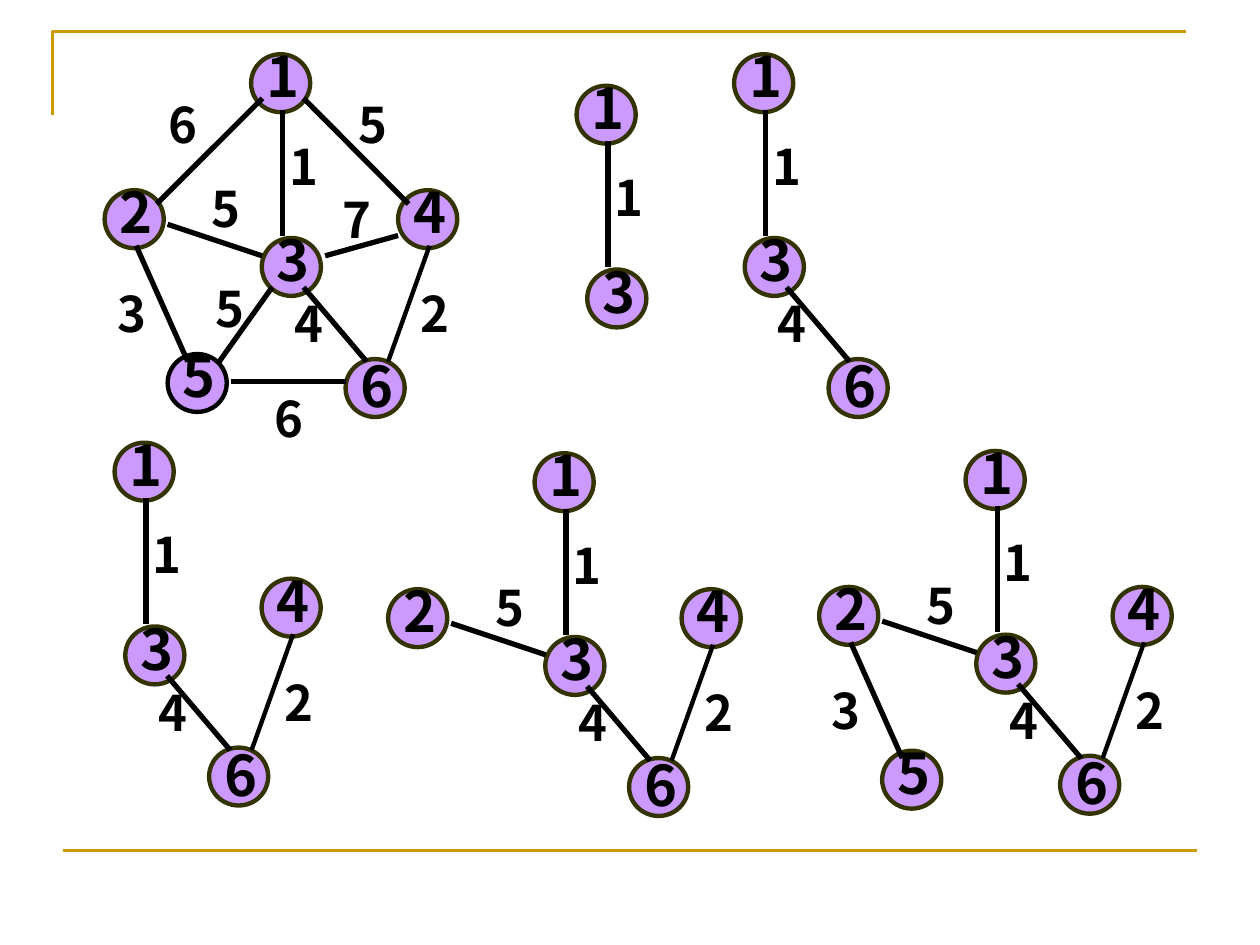
"""Steps of growing a minimum spanning tree on a weighted graph."""
import pptx
import pptx.util
import pptx.dml.color
import pptx.enum.shapes
import pptx.enum.text
from lxml import etree

Pt = pptx.util.Pt
RGBColor = pptx.dml.color.RGBColor
PP_ALIGN = pptx.enum.text.PP_ALIGN

GOLD = RGBColor(0xCC, 0x99, 0x00)
LILAC = RGBColor(0xCC, 0x99, 0xFF)
OLIVE = RGBColor(0x33, 0x33, 0x00)
BLACK = RGBColor(0, 0, 0)
FONT = "Noto Sans CJK SC"

NODES = {
    1: (143.5, 31),
    2: (59.8, 108.7),
    3: (149.6, 136),
    4: (227.5, 108.7),
    5: (95.8, 202.3),
    6: (197.5, 205.2),
}
NODE_W, NODE_H = 33.8, 33.1

# (node, node): (weight, line start, line end, label corner, label width, align, line width)
EDGES = {
    (1, 2): ("6", (150, 56.2), (89.5, 116.6), (89.5, 50.4), 36, PP_ALIGN.LEFT, 3),
    (1, 4): ("5", (173.5, 56.2), (233.5, 116.6), (197.5, 50.4), 54, PP_ALIGN.LEFT, 3),
    (1, 3): ("1", (161.5, 62.6), (161.5, 134.6), (155.5, 74.2), 36, PP_ALIGN.CENTER, 3),
    (2, 3): ("5", (95.8, 128.2), (149.8, 146.2), (113.8, 98.6), 30, PP_ALIGN.LEFT, 3),
    (3, 4): ("7", (185.8, 146.2), (227.5, 134.6), (185.8, 104.4), 36, PP_ALIGN.CENTER, 3),
    (2, 5): ("3", (77.8, 140.4), (107.3, 206.6), (59.8, 158.4), 54, PP_ALIGN.LEFT, 3),
    (3, 5): ("5", (155.5, 164.2), (125.3, 206.6), (115.9, 155.5), 36, PP_ALIGN.LEFT, 3),
    (3, 6): ("4", (173.5, 164.2), (209.5, 206.6), (161.3, 164.2), 36, PP_ALIGN.LEFT, 3),
    (4, 6): ("2", (245.5, 140.4), (221.8, 206.6), (233.3, 158.4), 36, PP_ALIGN.LEFT, 2.5),
    (5, 6): ("6", (131.8, 218.2), (197.5, 218.2), (149.8, 218.2), 36, PP_ALIGN.LEFT, 3),
}

GRAPHS = [
    ((0, 0), list(EDGES)),
    ((186, 18), [(1, 3)]),
    ((276, 0), [(1, 3), (3, 6)]),
    ((-78, 222), [(1, 3), (3, 6), (4, 6)]),
    ((162, 228), [(1, 3), (3, 6), (4, 6), (2, 3)]),
    ((408.3, 226.7), [(1, 3), (3, 6), (4, 6), (2, 3), (2, 5)]),
]


def add_line(s, start, end, color, width):
    ends = [Pt(v) for v in (*start, *end)]
    line = s.shapes.add_connector(pptx.enum.shapes.MSO_CONNECTOR.STRAIGHT, *ends)
    line.line.color.rgb = color
    line.line.width = Pt(width)
    sp_pr = line._element.spPr
    etree.SubElement(sp_pr, pptx.oxml.ns.qn("a:effectLst"))


def add_text(s, text, x, y, w, h, size, align):
    tf = s.shapes.add_textbox(Pt(x), Pt(y), Pt(w), Pt(h)).text_frame
    tf.word_wrap = True
    tf.vertical_anchor = pptx.enum.text.MSO_ANCHOR.MIDDLE
    p = tf.paragraphs[0]
    p.alignment = align
    r = p.add_run()
    r.text = text
    r.font.name = FONT
    r.font.size = Pt(size)
    r.font.bold = True
    r.font.color.rgb = BLACK


def add_node(s, number, dx, dy, outline):
    x, y = NODES[number]
    x, y = x + dx, y + dy
    sp = s.shapes.add_shape(
        pptx.enum.shapes.MSO_SHAPE.OVAL, Pt(x), Pt(y), Pt(NODE_W), Pt(NODE_H))
    sp.shadow.inherit = False
    sp.fill.solid()
    sp.fill.fore_color.rgb = LILAC
    sp.line.color.rgb = outline
    sp.line.width = Pt(2.5)
    rise = 7.8 if number == 6 else 10.6
    add_text(s, str(number), x + 1.6, y - rise, 24.5, 45.4, 32, PP_ALIGN.CENTER)


def add_graph(s, offset, edges):
    dx, dy = offset
    for number in sorted({n for edge in edges for n in edge}):
        full_five = number == 5 and len(edges) == len(EDGES)
        add_node(s, number, dx, dy, BLACK if full_five else OLIVE)
    for edge in edges:
        weight, start, end, label, w, align, width = EDGES[edge]
        start, end, label = [(x + dx, y + dy) for x, y in (start, end, label)]
        add_line(s, start, end, BLACK, width)
        add_text(s, weight, *label, w, 41, 28, align)


def main():
    prs = pptx.Presentation()
    prs.slide_width, prs.slide_height = Pt(720), Pt(540)
    s = prs.slides.add_slide(prs.slide_layouts[6])

    fb = s.shapes.build_freeform(Pt(30), Pt(66))
    fb.add_line_segments([(Pt(30), Pt(18)), (Pt(678), Pt(18))], close=False)
    corner = fb.convert_to_shape()
    corner.shadow.inherit = False
    corner.fill.background()
    corner.line.color.rgb = GOLD
    corner.line.width = Pt(1.5)
    add_line(s, (36, 486), (684, 486), GOLD, 1.5)

    for offset, edges in GRAPHS:
        add_graph(s, offset, edges)
    prs.save("out.pptx")


if __name__ == "__main__":
    main()
